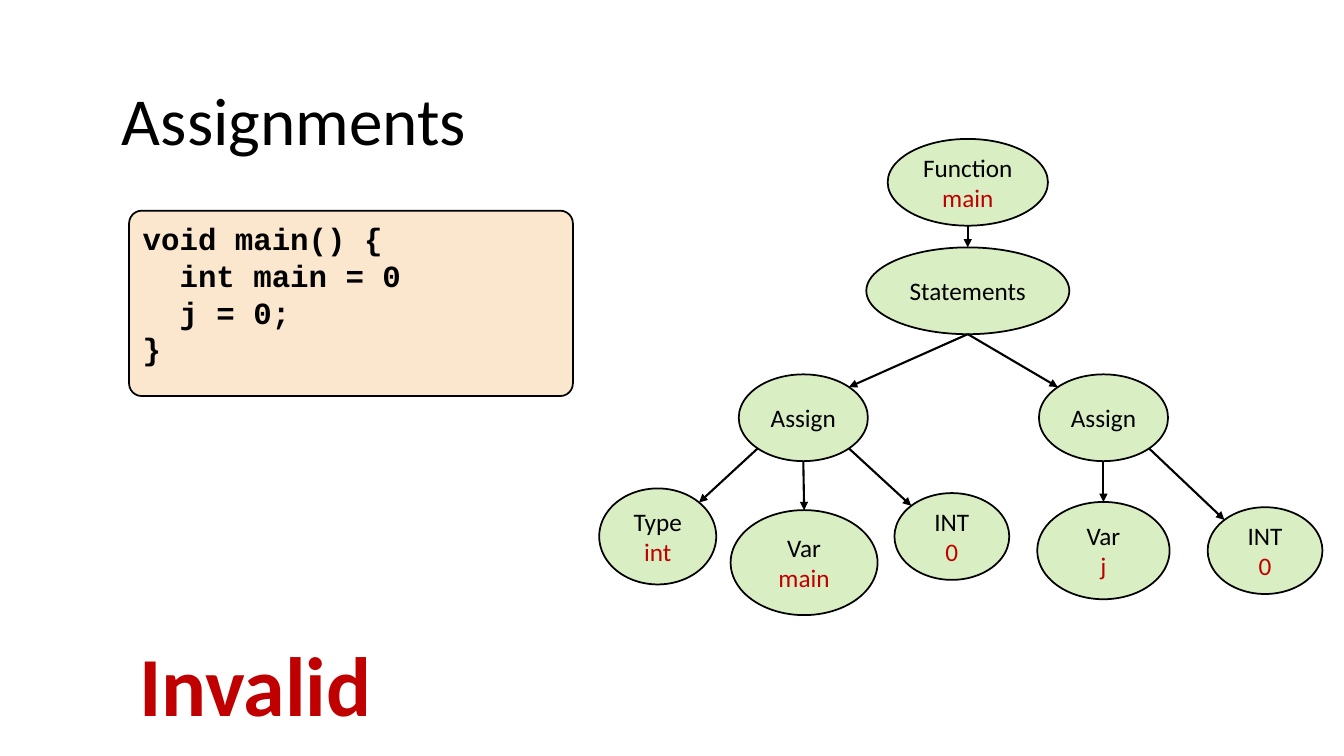
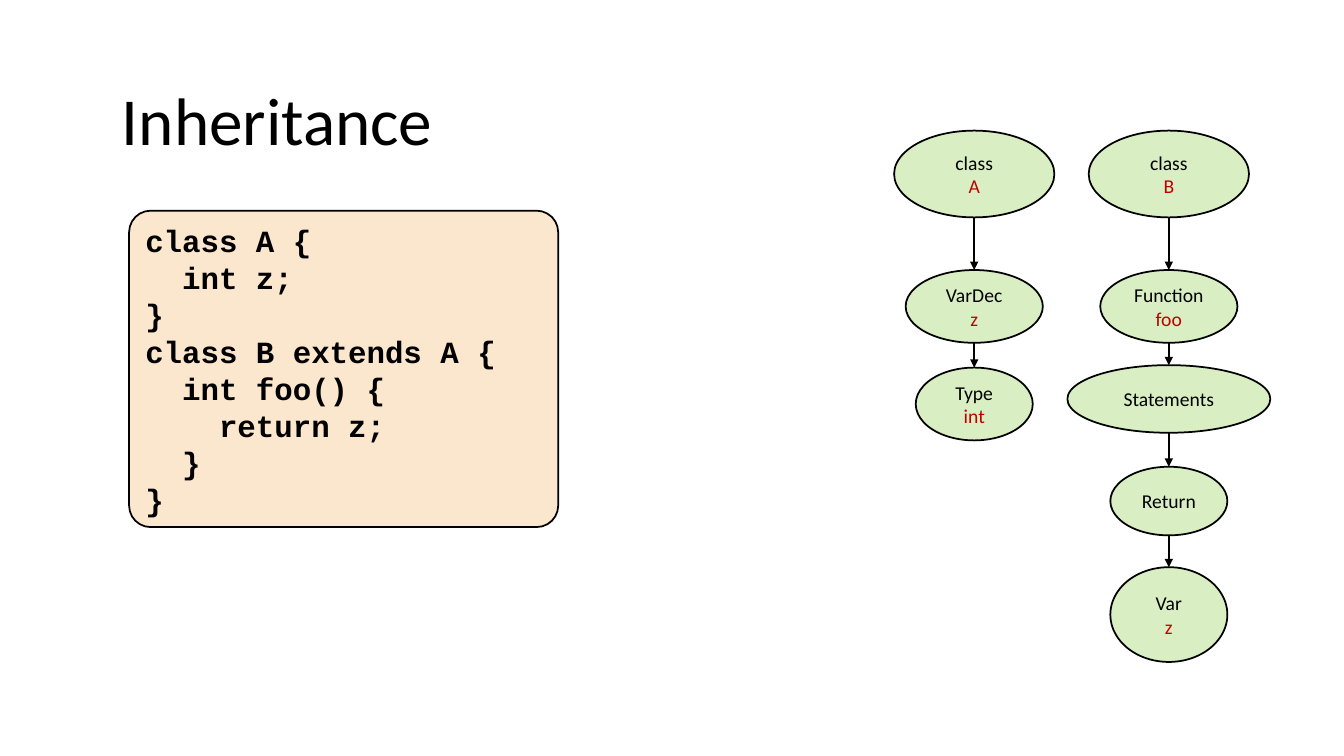
from itertools import pairwise

from lxml import etree
from pptx import Presentation
from pptx.dml.color import RGBColor
from pptx.enum import shapes, text
from pptx.oxml.ns import qn
from pptx.util import Pt

BLACK, RED = "000000", "C00000"
NODE_GREEN, CODE_PEACH = "92D050", "FBE6CE"
NODE_OPACITY = 34
BODY_FONT, CODE_FONT = "Calibri", "Courier New"
OUTLINE, ARROW = 1.25, 1.5
TITLE_BOX = (80, 52.6, 798.5, 65.5)
DIAGONAL = 0.5 ** 0.5


def color(hex_code):
    return RGBColor.from_string(hex_code)


def write_lines(frame, lines, size, font, bold=False, align=None):
    """Write (words, colour) pairs, one paragraph each."""
    frame.word_wrap = True
    for i, (words, ink) in enumerate(lines):
        paragraph = frame.add_paragraph() if i else frame.paragraphs[0]
        paragraph.alignment = align
        run = paragraph.add_run()
        run.text = words
        run.font.size, run.font.name, run.font.bold = Pt(size), font, bold
        run.font.color.rgb = color(ink)


def add_label(slide, box, words, size, ink=BLACK, bold=False):
    label = slide.shapes.add_textbox(*map(Pt, box))
    write_lines(label.text_frame, [(words, ink)], size, BODY_FONT, bold)
    label.text_frame.auto_size = text.MSO_AUTO_SIZE.SHAPE_TO_FIT_TEXT


def add_outlined(slide, preset, box, fill):
    shape = slide.shapes.add_shape(preset, *map(Pt, box))
    shape.shadow.inherit = False
    shape.fill.solid()
    shape.fill.fore_color.rgb = color(fill)
    shape.line.color.rgb = color(BLACK)
    shape.line.width = Pt(OUTLINE)
    return shape


def add_code(slide, box, source):
    panel = add_outlined(slide, shapes.MSO_SHAPE.ROUNDED_RECTANGLE, box, CODE_PEACH)
    panel.adjustments[0] = 0.068
    panel.text_frame.vertical_anchor = text.MSO_ANCHOR.TOP
    lines = [(line, BLACK) for line in source]
    write_lines(panel.text_frame, lines, 22, CODE_FONT, bold=True,
                align=text.PP_ALIGN.LEFT)


def add_node(slide, center_x, center_y, width, height, words, size):
    """Draw an ellipse with its kind in black and its value in red."""
    box = (center_x - width / 2, center_y - height / 2, width, height)
    node = add_outlined(slide, shapes.MSO_SHAPE.OVAL, box, NODE_GREEN)
    solid = node.fill._xPr.find(qn("a:solidFill"))
    etree.SubElement(solid[0], qn("a:alpha"), val=str(NODE_OPACITY * 1000))
    node.text_frame.vertical_anchor = text.MSO_ANCHOR.MIDDLE
    write_lines(node.text_frame, list(zip(words, (BLACK, RED))), size, BODY_FONT,
                align=text.PP_ALIGN.CENTER)


def rim_point(node, side, down):
    """Point on the rim: side is -1, 0 or 1; down is 1 for the lower half."""
    center_x, center_y, width, height = node
    reach = DIAGONAL if side else 1
    return (center_x + side * reach * width / 2,
            center_y + down * reach * height / 2)


def add_arrow(slide, start, end):
    arrow = slide.shapes.add_connector(
        shapes.MSO_CONNECTOR.STRAIGHT, *map(Pt, start + end))
    arrow.line.color.rgb = color(BLACK)
    arrow.line.width = Pt(ARROW)
    etree.SubElement(arrow.line._get_or_add_ln(), qn("a:tailEnd"), type="triangle")
    etree.SubElement(arrow._element.spPr, qn("a:effectLst"))


def add_tree(slide, left, top, nodes, edges, size):
    """Draw nodes {key: (x, y, width, height, words)} and the edges
    (parent, child, parent side, child side)."""
    placed = {}
    for key, (x, y, width, height, words) in nodes.items():
        placed[key] = (left + x, top + y, width, height)
        add_node(slide, *placed[key], words, size)
    for parent, child, parent_side, child_side in edges:
        add_arrow(slide, rim_point(placed[parent], parent_side, 1),
                  rim_point(placed[child], child_side, -1))


def add_chain(slide, left, top, nodes, size):
    """Draw (y, width, height, words) nodes down one axis at left."""
    tree = {i: (0, *node) for i, node in enumerate(nodes)}
    edges = [(parent, child, 0, 0) for parent, child in pairwise(tree)]
    add_tree(slide, left, top, tree, edges, size)


def add_titled_slide(prs, title):
    slide = prs.slides.add_slide(prs.slide_layouts[6])
    add_label(slide, TITLE_BOX, title, 48)
    return slide


def build_assignments(prs):
    slide = add_titled_slide(prs, "Assignments")
    add_code(slide, (92.2, 150.5, 317, 132.4),
             ["void main() {", "  int main = 0", "  j = 0;", "}"])
    nodes = {
        "function": (263.3, 31.2, 114.5, 62, ["Function", "main"]),
        "statements": (263.3, 108.7, 145, 62, ["Statements"]),
        "assign main": (145.8, 199.4, 92.2, 62, ["Assign"]),
        "assign j": (360.2, 199.4, 92.2, 62, ["Assign"]),
        "type": (41.8, 284.2, 83.6, 68.6, ["Type", "int"]),
        "var main": (146.4, 302.9, 105, 75, ["Var", "main"]),
        "int main": (251.9, 284.2, 82, 62, ["INT", "0"]),
        "var j": (360.2, 294.3, 94.5, 69.5, ["Var", "j"]),
        "int j": (475.6, 294.3, 82, 62, ["INT", "0"]),
    }
    edges = [
        ("function", "statements", 0, 0),
        ("statements", "assign main", 0, 1),
        ("statements", "assign j", 0, -1),
        ("assign main", "type", -1, 1),
        ("assign main", "var main", 0, 0),
        ("assign main", "int main", 1, -1),
        ("assign j", "var j", 0, 0),
        ("assign j", "int j", 1, -1),
    ]
    add_tree(slide, 428, 99, nodes, edges, 18)
    add_label(slide, (92.2, 448.6, 220, 80), "Invalid", 60, RED, bold=True)


def build_inheritance(prs):
    slide = add_titled_slide(prs, "Inheritance")
    add_code(slide, (92.2, 150.5, 306.5, 226),
             ["class A {", "  int z;", "}", "class B extends A {",
              "  int foo() {", "    return z;", "  }", "}"])
    add_chain(slide, 695.9, 93, [
        (31.3, 114.5, 62, ["class", "A"]),
        (125.9, 98, 52, ["VarDec", "z"]),
        (195.6, 83.6, 52, ["Type", "int"]),
    ], 14)
    add_chain(slide, 834.9, 93, [
        (31.3, 114.5, 62, ["class", "B"]),
        (125.9, 98, 52, ["Function", "foo"]),
        (192, 145, 48.3, ["Statements"]),
        (264.9, 83.6, 49, ["Return"]),
        (346, 83.6, 67.7, ["Var", "z"]),
    ], 14)


def main():
    prs = Presentation()
    prs.slide_width, prs.slide_height = Pt(960), Pt(540)
    build_assignments(prs)
    build_inheritance(prs)
    prs.save("out.pptx")


if __name__ == "__main__":
    main()
